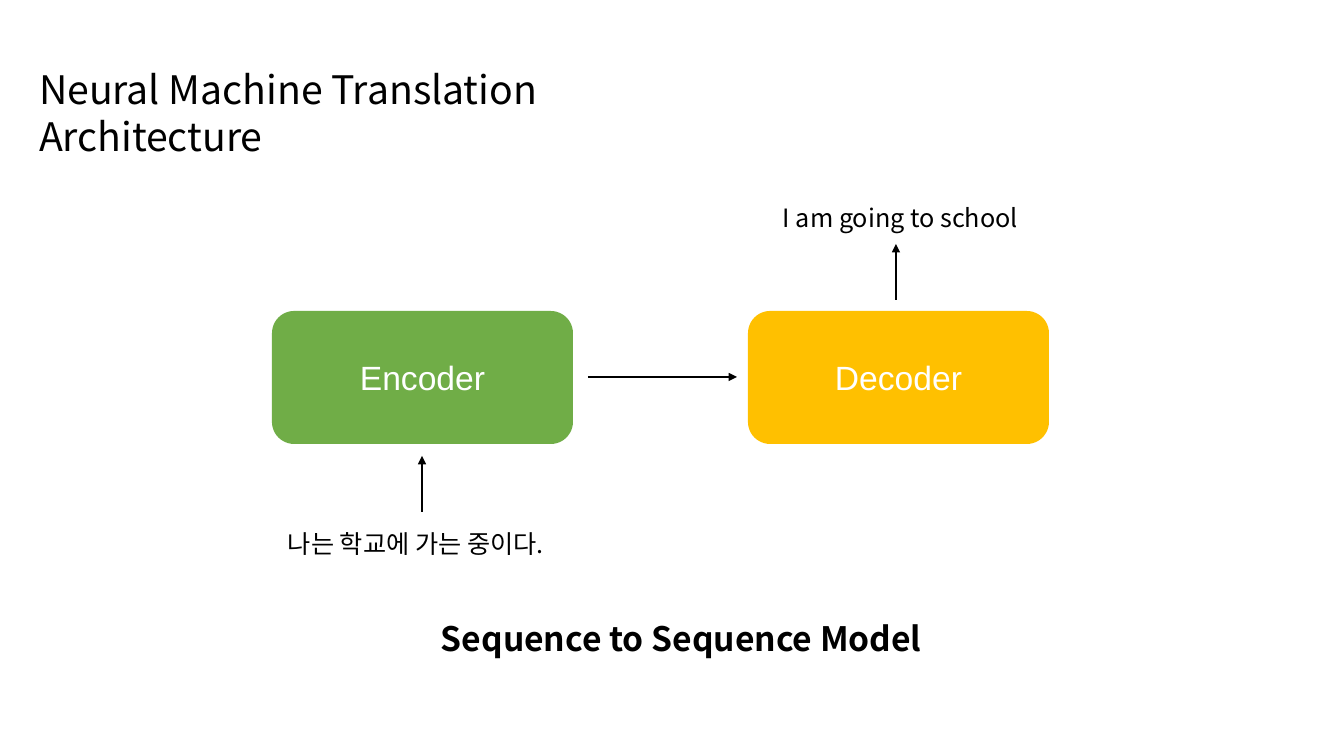
from pptx import Presentation
from pptx.dml.color import RGBColor
from pptx.enum.shapes import MSO_CONNECTOR as CONN, MSO_SHAPE as SHAPE
from pptx.enum.text import MSO_ANCHOR as ANCHOR, MSO_AUTO_SIZE as AUTO, PP_ALIGN as ALIGN
from pptx.oxml.ns import qn
from pptx.util import Pt
from lxml.etree import SubElement

PX = 9071
NOTO = "Noto Sans CJK KR"
BLACK, WHITE = "000000", "FFFFFF"

TITLE = ("Neural Machine Translation Architecture", (29, 60, 741, 58), 28)
LABELS = [
    ("나는 학교에 가는 중이다.", (278, 523, 307, 40), 18, False),
    ("I am going to school", (773, 197, 264, 40), 18, False),
    ("Sequence to Sequence Model", (431, 613, 503, 50), 24, True),
]
BLOCKS = [("Encoder", 272, "70AD47"), ("Decoder", 748, "FFC000")]
BLOCK_TOP, BLOCK_W, BLOCK_H = 311, 301, 133
ARROWS = [
    (588, 377, 737, 377),
    (422, 512, 422, 456),
    (896, 300, 896, 244),
]


def px(*values):
    return [v * PX for v in values]


def color(value):
    return RGBColor.from_string(value)


def write(s, text, size, font, fill, bold=False, align=ALIGN.LEFT):
    tf = s.text_frame
    tf.text = text
    p = tf.paragraphs[0]
    p.alignment = align
    r = p.runs[0]
    r.font.name = font
    r.font.size = Pt(size)
    r.font.bold = bold
    r.font.color.rgb = color(fill)
    SubElement(r.font._element, qn("a:ea")).set("typeface", font)
    return tf


prs = Presentation()
prs.slide_width, prs.slide_height = px(1344, 756)
slide = prs.slides.add_slide(prs.slide_layouts[5])

text, box, size = TITLE
title = slide.shapes.title
title.left, title.top, title.width, title.height = px(*box)
tf = write(title, text, size, NOTO, BLACK)
tf.vertical_anchor = ANCHOR.TOP
tf.word_wrap = True
tf.auto_size = AUTO.SHAPE_TO_FIT_TEXT

for text, box, size, bold in LABELS:
    s = slide.shapes.add_textbox(*px(*box))
    tf = write(s, text, size, NOTO, BLACK, bold)
    tf.word_wrap = False
    tf.auto_size = AUTO.SHAPE_TO_FIT_TEXT

for text, left, fill in BLOCKS:
    s = slide.shapes.add_shape(SHAPE.ROUNDED_RECTANGLE, *px(left, BLOCK_TOP, BLOCK_W, BLOCK_H))
    s.shadow.inherit = False
    s.fill.solid()
    s.fill.fore_color.rgb = color(fill)
    s.line.fill.background()
    tf = write(s, text, 24, "Arial", WHITE, align=ALIGN.CENTER)
    tf.vertical_anchor = ANCHOR.MIDDLE

for ends in ARROWS:
    s = slide.shapes.add_connector(CONN.STRAIGHT, *px(*ends))
    s.line.color.rgb = color(BLACK)
    s.line.width = Pt(1)
    SubElement(s.line._get_or_add_ln(), qn("a:tailEnd")).set("type", "triangle")
    SubElement(s._element.spPr, qn("a:effectLst"))

prs.save("out.pptx")
